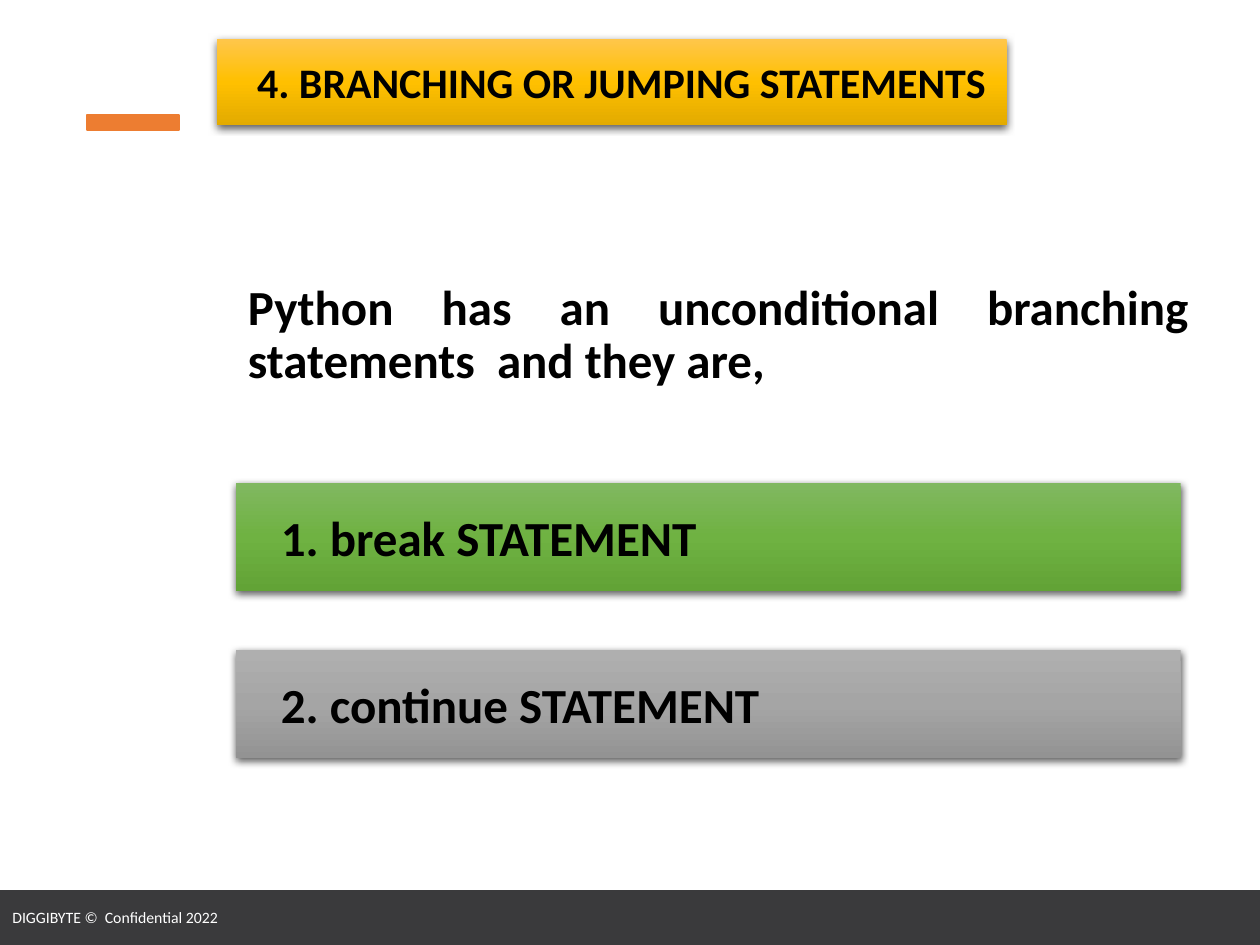
import copy
from dataclasses import dataclass

import lxml.etree
import pptx
import pptx.dml.color
import pptx.enum.shapes
import pptx.enum.text
import pptx.oxml.ns
import pptx.util

Inches = pptx.util.Inches
Pt = pptx.util.Pt
RGBColor = pptx.dml.color.RGBColor
PP_ALIGN = pptx.enum.text.PP_ALIGN
MSO_ANCHOR = pptx.enum.text.MSO_ANCHOR
RECTANGLE = pptx.enum.shapes.MSO_SHAPE.RECTANGLE
qn = pptx.oxml.ns.qn


@dataclass(frozen=True)
class Theme:
    font: str = "Calibri"
    text: str = "000000"
    footer_text: str = "FFFFFF"
    footer: str = "3A3A3C"
    accent: str = "ED7D31"
    shadow: str = "000000"
    gold: tuple = ("FFC64B", "FFC000", "E3AB00")
    green: tuple = ("81B861", "6FB242", "62A336")
    gray: tuple = ("AFAFAF", "A5A5A5", "939393")
    footer_size: int = 9
    title_size: int = 24
    body_size: int = 28


theme = Theme()


def write_text(shape, text, size, color, bold=True, align=PP_ALIGN.LEFT, inset=0.1):
    frame = shape.text_frame
    frame.word_wrap = True
    frame.margin_left = Inches(inset)
    paragraph = frame.paragraphs[0]
    paragraph.alignment = align
    run = paragraph.add_run()
    run.text = text
    run.font.name = theme.font
    run.font.size = Pt(size)
    run.font.bold = bold
    run.font.color.rgb = RGBColor.from_string(color)
    return paragraph


def add_rectangle(left, top, width, height):
    shape = slide.shapes.add_shape(
        RECTANGLE, Inches(left), Inches(top), Inches(width), Inches(height)
    )
    shape.shadow.inherit = False
    shape.text_frame.vertical_anchor = MSO_ANCHOR.MIDDLE
    return shape


presentation = pptx.Presentation()
presentation.slide_width = Inches(10)
presentation.slide_height = Inches(7.5)
slide = presentation.slides.add_slide(presentation.slide_layouts[6])

footer = add_rectangle(0, 7.07, 10, 0.42)
accent = add_rectangle(0.69, 0.91, 0.73, 0.12)
for shape, color in ((footer, theme.footer), (accent, theme.accent)):
    shape.fill.solid()
    shape.fill.fore_color.rgb = RGBColor.from_string(color)
    shape.line.color.rgb = RGBColor.from_string(color)
    shape.line.width = Pt(1)
write_text(
    footer, "DIGGIBYTE ©  Confidential 2022", theme.footer_size, theme.footer_text, bold=False
)

banners = (
    ("4. BRANCHING OR JUMPING STATEMENTS", 1.72, 0.31, 6.27, 0.68,
     theme.gold, theme.title_size, 0.32),
    ("1. break STATEMENT", 1.87, 3.83, 7.5, 0.86, theme.green, theme.body_size, 0.36),
    ("2. continue STATEMENT", 1.87, 5.16, 7.5, 0.86, theme.gray, theme.body_size, 0.36),
)
for text, left, top, width, height, colors, size, inset in banners:
    banner = add_rectangle(left, top, width, height)
    banner.line.fill.background()
    banner.fill.gradient()
    banner.fill.gradient_angle = 270
    stop_list = banner.element.spPr.find(qn("a:gradFill")).find(qn("a:gsLst"))
    stop_list.append(copy.deepcopy(stop_list[0]))
    for stop, position, color in zip(banner.fill.gradient_stops, (0, 0.5, 1), colors):
        stop.position = position
        stop.color.rgb = RGBColor.from_string(color)
    effects = banner.element.spPr.find(qn("a:effectLst"))
    shadow = lxml.etree.SubElement(
        effects, qn("a:outerShdw"), blurRad=str(Pt(4.5)), dist=str(Pt(1.5)),
        dir="5400000", algn="ctr", rotWithShape="0",
    )
    shadow_color = lxml.etree.SubElement(shadow, qn("a:srgbClr"), val=theme.shadow)
    lxml.etree.SubElement(shadow_color, qn("a:alpha"), val="63000")
    write_text(banner, text, size, theme.text, inset=inset)

introduction = slide.shapes.add_textbox(Inches(1.87), Inches(2.2), Inches(7.66), Inches(0.95))
paragraph = write_text(
    introduction, "Python has an unconditional branching statements  and they are,",
    theme.body_size, theme.text, align=PP_ALIGN.JUSTIFY,
)
paragraph.line_spacing = 0.9

presentation.save("out.pptx")
